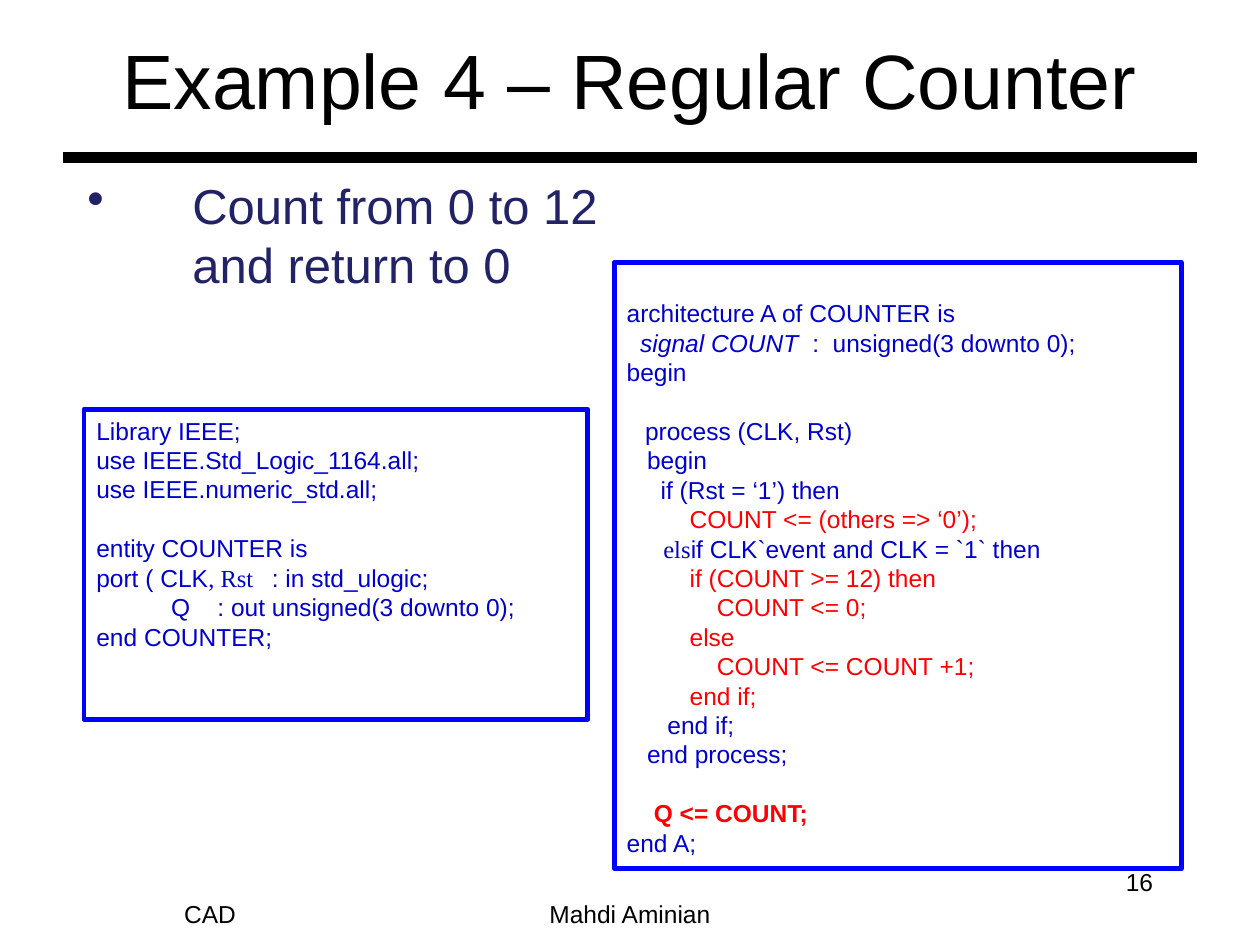
from dataclasses import dataclass

from lxml.etree import SubElement
from pptx import Presentation
from pptx.dml.color import RGBColor as Color
from pptx.enum.shapes import MSO_CONNECTOR as Connector, MSO_SHAPE as Preset
from pptx.enum.text import MSO_ANCHOR as Anchor, PP_ALIGN as Align
from pptx.oxml.ns import qn
from pptx.util import Inches, Pt


@dataclass(frozen=True)
class Theme:
    """Colours, fonts and type sizes of the slide."""

    sans: str = "Arial"
    serif: str = "Times New Roman"
    ink: str = "000000"
    body: str = "222267"
    code: str = "0000CC"
    alert: str = "FF0000"
    frame: str = "0000FF"
    title_size: float = 44
    body_size: float = 28
    small_size: float = 14
    code_leading: float = 16.8


THEME = Theme()
COLUMNS, ROWS = 120, 90
UNIT = Inches(10) / COLUMNS

STYLES = {
    "code": {},
    "serif": {"name": THEME.serif},
    "italic": {"italic": True},
    "alert": {"color": THEME.alert},
    "strong": {"color": THEME.alert, "bold": True},
}

ENTITY = [
    "Library IEEE;",
    "use IEEE.Std_Logic_1164.all;",
    "use IEEE.numeric_std.all;",
    "",
    "entity COUNTER is",
    [("code", "port ( CLK"), ("serif", ", Rst   "), ("code", ": in std_ulogic;")],
    "           Q    : out unsigned(3 downto 0);",
    "end COUNTER;",
]

ARCHITECTURE = [
    "",
    "architecture A of COUNTER is",
    [("italic", "  signal COUNT  "), ("code", ":  unsigned(3 downto 0);")],
    "begin",
    "",
    [("serif", "   "), ("code", "process (CLK, Rst)")],
    "   begin",
    "     if (Rst = ‘1’) then",
    [("alert", "\tCOUNT <= (others => ‘0’);")],
    [("serif", "      els"), ("code", "if CLK`event and CLK = `1` then")],
    [("alert", "\tif (COUNT >= 12) then")],
    [("alert", "\t    COUNT <= 0;")],
    [("alert", "\telse")],
    [("alert", "\t    COUNT <= COUNT +1;")],
    [("alert", "\tend if;")],
    "      end if;",
    "   end process;",
    "",
    [("strong", "    Q <= COUNT;")],
    "end A;",
]


def grid(*cells):
    """Turn grid cells into slide lengths."""
    return [round(cell * UNIT) for cell in cells]


def set_font(font, size, color, name=THEME.sans):
    """Apply typeface, size and colour to a font."""
    font.name = name
    font.size = Pt(size)
    font.color.rgb = Color.from_string(color)


def add_text(slide, cells, text, size, align=Align.CENTER, anchor=Anchor.MIDDLE, color=THEME.ink):
    """Add a one-paragraph text box and return its frame."""
    frame = slide.shapes.add_textbox(*grid(*cells)).text_frame
    frame.word_wrap = True
    frame.vertical_anchor = anchor
    paragraph = frame.paragraphs[0]
    paragraph.text = text
    paragraph.alignment = align
    set_font(paragraph.font, size, color)
    return frame


def add_bullet(slide, cells, text):
    """Add a bulleted statement with a hanging indent."""
    frame = add_text(slide, cells, "", THEME.body_size, Align.LEFT, Anchor.TOP, THEME.body)
    frame.margin_left = frame.margin_right = Inches(0.11)
    frame.margin_top = frame.margin_bottom = Inches(0.06)
    paragraph = frame.paragraphs[0]
    properties = paragraph._p.get_or_add_pPr()
    indent = grid(10)[0]
    properties.set("marL", str(indent))
    properties.set("indent", str(-indent))
    bullet = properties.makeelement(qn("a:buChar"), {"char": "•"})
    properties.insert(0, bullet)
    paragraph.text = text


def add_rule(slide, row, left, right, weight):
    """Add a horizontal rule."""
    rule = slide.shapes.add_connector(Connector.STRAIGHT, *grid(left, row, right, row))
    rule.line.width = Pt(weight)
    rule.line.color.rgb = Color.from_string(THEME.ink)
    SubElement(rule._element.spPr, qn("a:effectLst"))


def add_code_line(paragraph, line):
    """Fill a paragraph with one line of styled code."""
    paragraph.alignment = Align.LEFT
    paragraph.line_spacing = Pt(THEME.code_leading)
    set_font(paragraph.font, THEME.small_size, THEME.code)
    runs = [("code", line)] if isinstance(line, str) else line
    for style, text in runs:
        run = paragraph.add_run()
        run.text = text
        look = {"name": THEME.sans, "color": THEME.code, **STYLES[style]}
        set_font(run.font, THEME.small_size, look["color"], look["name"])
        run.font.bold = look.get("bold")
        run.font.italic = look.get("italic")


def add_code_box(slide, cells, lines):
    """Add a framed listing, turning empty lines into gaps."""
    shape = slide.shapes.add_shape(Preset.RECTANGLE, *grid(*cells))
    shape.shadow.inherit = False
    shape.fill.background()
    shape.line.color.rgb = Color.from_string(THEME.frame)
    shape.line.width = Pt(2.75)
    frame = shape.text_frame
    frame.word_wrap = True
    frame.vertical_anchor = Anchor.TOP
    paragraph, gap = None, 0
    for line in lines:
        if not line:
            gap += THEME.code_leading
            continue
        if paragraph is None:
            paragraph = frame.paragraphs[0]
            frame.margin_top = Inches(0.05) + Pt(gap)
        else:
            paragraph = frame.add_paragraph()
            paragraph.space_before = Pt(gap)
        add_code_line(paragraph, line)
        gap = 0


def main():
    """Build the slide and save it."""
    presentation = Presentation()
    presentation.slide_width, presentation.slide_height = grid(COLUMNS, ROWS)
    slide = presentation.slides.add_slide(presentation.slide_layouts[6])
    add_rule(slide, 15, 6, 114, 6)
    add_text(slide, (9, 0, 102, 15), "Example 4 – Regular Counter", THEME.title_size)
    for column, label in ((1, "CAD"), (41, "Mahdi Aminian")):
        add_text(slide, (column, 84, 38, 6), label, THEME.small_size)
    add_text(slide, (103, 82, 8, 6), "16", THEME.small_size, Align.RIGHT, Anchor.TOP)
    add_bullet(slide, (7, 16, 52, 33), "Count from 0 to 12 and return to 0")
    add_code_box(slide, (8, 39, 48, 29.5), ENTITY)
    add_code_box(slide, (58.5, 25, 54, 57.75), ARCHITECTURE)
    presentation.save("out.pptx")


if __name__ == "__main__":
    main()
